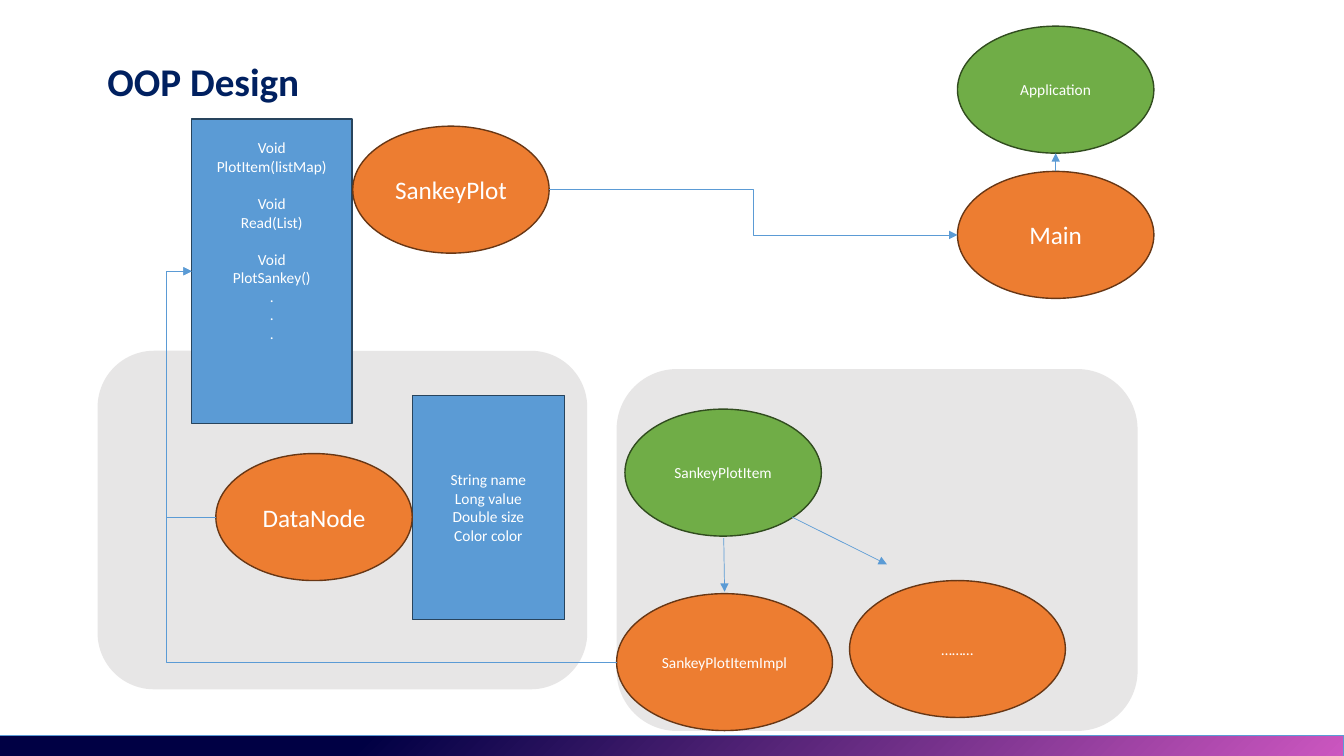
import lxml.etree
import pptx
import pptx.dml.color
import pptx.enum.shapes
import pptx.enum.text
import pptx.oxml.ns
import pptx.util

Cm, Pt = pptx.util.Cm, pptx.util.Pt
Kind = pptx.enum.shapes.MSO_SHAPE
Align = pptx.enum.text.PP_ALIGN
qn = pptx.oxml.ns.qn

# Lengths are centimetres, given as left, top, width, height.
SLIDE = (33.87, 19.05)
TITLE = ("OOP Design", (2.46, 0.28, 9.53, 3.68))
FOOTER = (-0.15, 18.54, 34.01, 0.79)
PANELS = [(15.54, 9.3, 13.13, 9.12), (2.46, 8.84, 12.34, 8.53)]
SMALL, LARGE = (4.95, 3.2), (5.44, 3.45)

# name: (text, role, text size, left and top, size)
OVALS = {
    "plot": ("SankeyPlot", "class", "large", (8.89, 3.18), SMALL),
    "data": ("DataNode", "class", "large", (5.44, 11.43), SMALL),
    "main": ("Main", "class", "large", (24.13, 4.32), SMALL),
    "item": ("SankeyPlotItem", "interface", "small", (15.75, 10.31), SMALL),
    "impl": ("SankeyPlotItemImpl", "class", "small", (15.54, 14.96), LARGE),
    "more": ("………", "class", "small", (21.41, 14.63), LARGE),
    "app": ("Application", "interface", "small", (24.13, 0.66), SMALL),
}
METHODS = [
    ["Void PlotItem(listMap)"],
    ["Void", "Read(List)"],
    ["Void", "PlotSankey()", ".", ".", "."],
]
FIELDS = [["String name", "Long value", "Double size", "Color color"]]
# name: (groups of lines, place, space kept free below the text)
MEMBERS = {
    "methods": (METHODS, (4.83, 3, 4.04, 7.67), 1.68),
    "fields": (FIELDS, (10.39, 9.96, 3.84, 5.66), 0.13),
}

# start, end, x of the upright part; None stands for halfway
ELBOWS = [
    (("data", "left"), ("methods", "left"), 4.19),
    (("impl", "left"), ("methods", "left"), 4.19),
    (("plot", "right"), ("main", "left"), None),
]
STRAIGHTS = [
    (("main", "top"), ("app", "bottom")),
    ((18.24, 13.56), (18.26, 14.91)),
    ((19.96, 13.03), (22.35, 14.22)),
]

THEME = {
    "font": "Calibri",
    "title": "002060", "text": "FFFFFF", "panel": "E7E6E6", "link": "5B9BD5",
    "class": ("ED7D31", "683715"),
    "interface": ("70AD47", "314C1F"),
    "members": ("5B9BD5", "28445D"),
    "footer": [("000044", 0.27), ("CE57C1", 1)],
    "heading": 28, "large": 18, "small": 11,
    "outline": 1, "thin": 0.5, "group_gap": 13.4,
}
SIDES = {"left": (0, 0.5), "right": (1, 0.5), "top": (0.5, 0), "bottom": (0.5, 1)}


def rgb(code):
    return pptx.dml.color.RGBColor.from_string(code)


def apply(target, values):
    for name, value in values.items():
        setattr(target, name, value)


def set_line(item, color, width):
    item.line.color.rgb = rgb(color)
    item.line.width = Pt(width)


def add_block(page, kind, place, fill, outline=None):
    block = page.shapes.add_shape(kind, *map(Cm, place))
    block.shadow.inherit = False
    block.fill.solid()
    block.fill.fore_color.rgb = rgb(fill)
    if outline:
        set_line(block, outline, THEME["outline"])
    else:
        block.line.fill.background()
    return block


def write(box, groups, size, color=THEME["text"], frame=None, para_format=None, bold=False):
    """Fill a box with groups of lines, spacing the groups apart."""
    apply(box.text_frame, {
        "word_wrap": True,
        "vertical_anchor": pptx.enum.text.MSO_ANCHOR.MIDDLE,
        **(frame or {}),
    })
    para = None
    for group_index, group in enumerate(groups):
        for line_index, text in enumerate(group):
            para = box.text_frame.add_paragraph() if para else box.text_frame.paragraphs[0]
            apply(para, {"alignment": Align.CENTER, **(para_format or {})})
            if group_index and not line_index:
                para.space_before = Pt(THEME["group_gap"])
            span = para.add_run()
            span.text = text
            apply(span.font, {"name": THEME["font"], "size": Pt(size), "bold": bold})
            span.font.color.rgb = rgb(color)


def anchor(places, end):
    """Resolve (name, side) to a point; a plain point stays as it is."""
    if end[0] not in places:
        return end
    left, top, width, height = places[end[0]]
    across, down = SIDES[end[1]]
    return left + across * width, top + down * height


def add_arrow(page, kind, start, end):
    arrow = page.shapes.add_connector(kind, *map(Cm, (*start, *end)))
    set_line(arrow, THEME["link"], THEME["thin"])
    properties = arrow.element.spPr
    line = properties.find(qn("a:ln"))
    lxml.etree.SubElement(line, qn("a:tailEnd"), type="triangle")
    lxml.etree.SubElement(properties, qn("a:effectLst"))
    return arrow


def add_elbow(page, start, end, lane):
    """Draw an elbow arrow; one that runs up and left is turned by 180 degrees."""
    backward = end[0] < start[0]
    corners = (end, start) if backward else (start, end)
    arrow = add_arrow(page, pptx.enum.shapes.MSO_CONNECTOR.ELBOW, *corners)
    properties = arrow.element.spPr
    if backward:
        properties.find(qn("a:xfrm")).set("rot", str(180 * 60000))
    share = 0.5 if lane is None else (lane - start[0]) / (end[0] - start[0])
    guides = properties.find(qn("a:prstGeom")).find(qn("a:avLst"))
    lxml.etree.SubElement(guides, qn("a:gd"), name="adj1", fmla=f"val {round(share * 100000)}")


def add_footer(page):
    bar = add_block(page, Kind.RECTANGLE, FOOTER, THEME["footer"][0][0])
    bar.fill.gradient()
    bar.fill.gradient_angle = 315
    for stop, (color, position) in zip(bar.fill.gradient_stops, THEME["footer"]):
        stop.color.rgb = rgb(color)
        stop.position = position
    set_line(bar, THEME["link"], THEME["thin"])


def main():
    deck = pptx.Presentation()
    apply(deck, dict(zip(("slide_width", "slide_height"), map(Cm, SLIDE))))
    page = deck.slides.add_slide(deck.slide_layouts[6])

    add_footer(page)
    for place in PANELS:
        add_block(page, Kind.ROUNDED_RECTANGLE, place, THEME["panel"])

    heading, place = TITLE
    box = page.shapes.add_textbox(*map(Cm, place))
    write(box, [[heading]], THEME["heading"], THEME["title"], bold=True,
          para_format={"alignment": Align.LEFT, "line_spacing": 0.9})

    places = {}
    for name, (groups, place, below) in MEMBERS.items():
        places[name] = place
        box = add_block(page, Kind.RECTANGLE, place, *THEME["members"])
        write(box, groups, THEME["small"], frame={
            "margin_left": Cm(0.3), "margin_right": Cm(0.3), "margin_bottom": Cm(below)})
    for name, (text, role, size, corner, extent) in OVALS.items():
        places[name] = (*corner, *extent)
        oval = add_block(page, Kind.OVAL, places[name], *THEME[role])
        write(oval, [[text]], THEME[size])

    for start, end, lane in ELBOWS:
        add_elbow(page, anchor(places, start), anchor(places, end), lane)
    for start, end in STRAIGHTS:
        add_arrow(page, pptx.enum.shapes.MSO_CONNECTOR.STRAIGHT,
                  anchor(places, start), anchor(places, end))

    deck.save("out.pptx")


if __name__ == "__main__":
    main()
